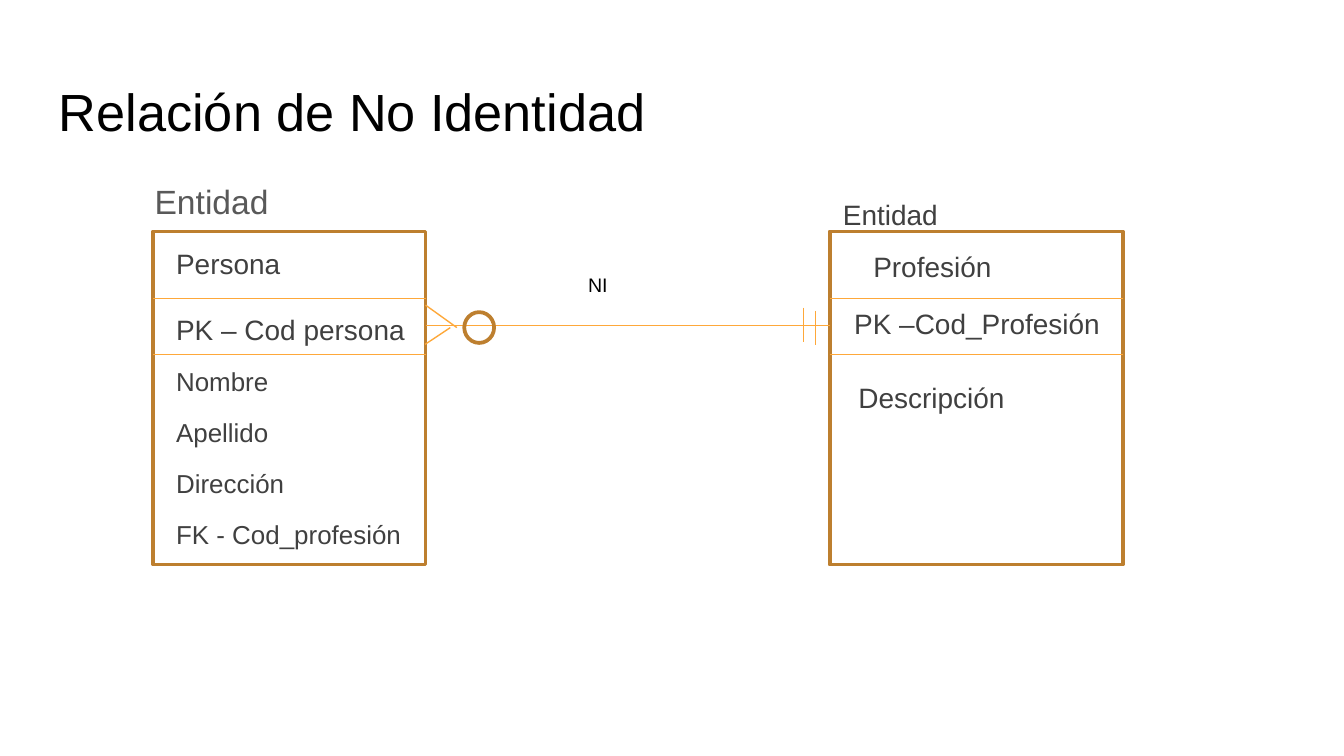
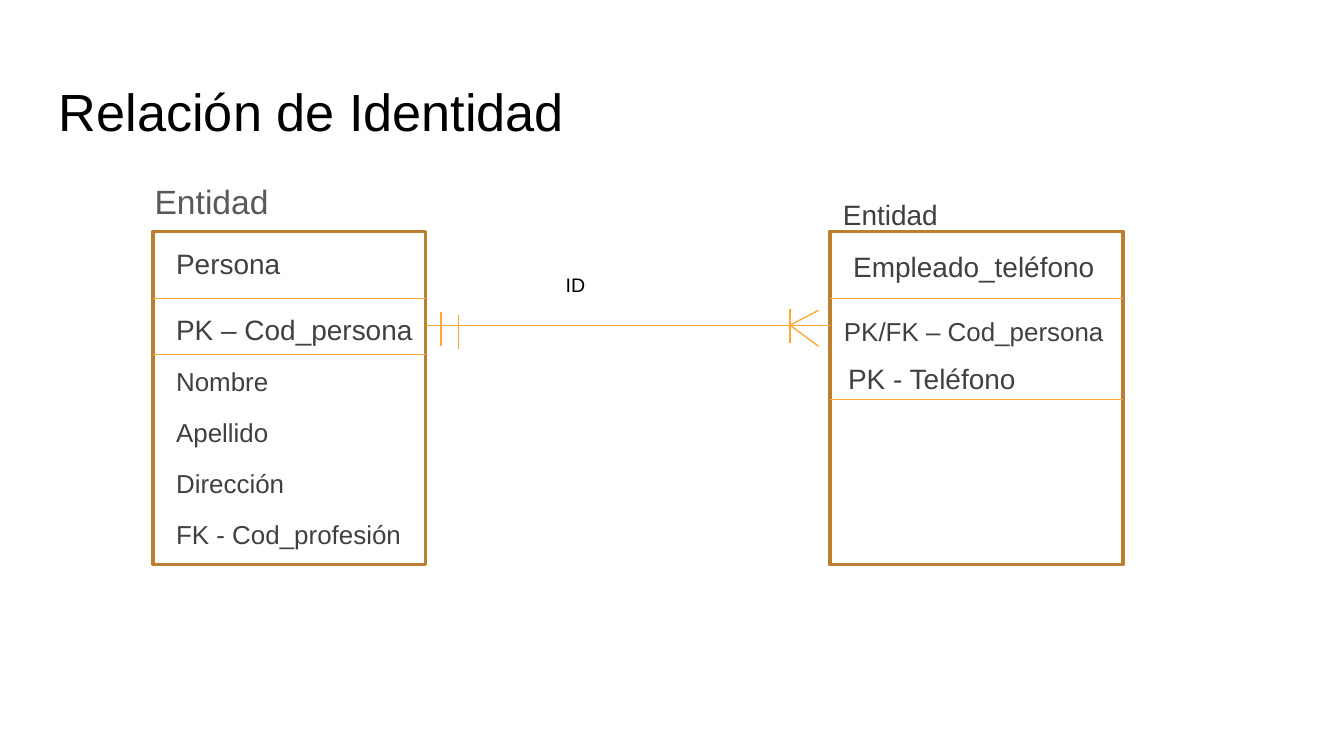
from dataclasses import dataclass
from lxml import etree
from pptx import Presentation
from pptx.dml import color
from pptx.enum import shapes, text
from pptx.oxml import ns
from pptx.util import Pt


@dataclass(frozen=True)
class Theme:
    font: str = "Arial"
    title: tuple = (28, "000000")
    heading: tuple = (18, "595959")
    entity: tuple = (15, "404040")
    attribute: tuple = (13.9, "404040")
    relation: tuple = (10.5, "000000")
    border: tuple = (2, "BD7F2F")
    stroke: tuple = (0.75, "FEA83A")


TOP, HEIGHT = 124, 178.5
LEFT, LEFT_WIDTH = 82, 146
RIGHT, RIGHT_WIDTH = 444.5, 157
NAME_Y, KEY_Y, RELATION_Y = 160, 190, 174.25
TEXT_WIDTH, TEXT_HEIGHT = 157, 24.5
ENTITY_INSETS = (7.2, 3, 0, 3)


class Diagram:
    def __init__(self, deck, theme):
        self.deck, self.theme, self.page = deck, theme, None

    def add_page(self):
        self.page = self.deck.slides.add_slide(self.deck.slide_layouts[6])

    def label(self, x, y, w, h, lines, style, insets, **spacing):
        size, ink = style
        frame = self.page.shapes.add_textbox(Pt(x), Pt(y), Pt(w), Pt(h)).text_frame
        frame.word_wrap = True
        frame.vertical_anchor = text.MSO_ANCHOR.TOP
        for side, inset in zip(("left", "top", "right", "bottom"), insets):
            setattr(frame, f"margin_{side}", Pt(inset))
        for index, line in enumerate(lines):
            para = frame.paragraphs[0] if index == 0 else frame.add_paragraph()
            for name, value in spacing.items():
                if index or name != "space_before":
                    setattr(para, name, value)
            span = para.add_run()
            span.text = line
            for name, value in {"name": self.theme.font, "size": Pt(size)}.items():
                setattr(span.font, name, value)
            span.font.color.rgb = color.RGBColor.from_string(ink)

    def entity_text(self, x, y, line):
        self.label(x, y, TEXT_WIDTH, TEXT_HEIGHT, [line], self.theme.entity,
                   ENTITY_INSETS, line_spacing=0.9)

    def attributes(self, x, y, h, lines, spacing=0.8):
        self.label(x, y, TEXT_WIDTH, h, lines, self.theme.attribute, ENTITY_INSETS,
                   line_spacing=spacing, space_before=Pt(12), space_after=Pt(2))

    def paint_line(self, shape, style):
        width, ink = style
        shape.line.width = Pt(width)
        shape.line.color.rgb = color.RGBColor.from_string(ink)

    def outline(self, kind, x, y, w, h):
        shape = self.page.shapes.add_shape(kind, Pt(x), Pt(y), Pt(w), Pt(h))
        shape.shadow.inherit = False
        shape.fill.background()
        self.paint_line(shape, self.theme.border)

    def stroke(self, x1, y1, x2, y2):
        line = self.page.shapes.add_connector(
            shapes.MSO_CONNECTOR.STRAIGHT, Pt(x1), Pt(y1), Pt(x2), Pt(y2))
        self.paint_line(line, self.theme.stroke)
        etree.SubElement(line._element.spPr, ns.qn("a:effectLst"))

    def bar(self, x, y):
        self.stroke(x, y, x, y + 18.25)

    def relation_page(self, title, key, right_key_y, relation, relation_x):
        self.add_page()
        self.label(24.5, 35.5, 671, 45.5, [title], self.theme.title, (7.2,) * 4)
        self.label(67, 86.5, 197, 31.5, ["Entidad"], self.theme.heading,
                   (15.84, 7.2, 7.2, 7.2), line_spacing=1.15)
        for x, width, key_y in ((LEFT, LEFT_WIDTH, KEY_Y),
                                (RIGHT, RIGHT_WIDTH, right_key_y)):
            self.outline(shapes.MSO_SHAPE.RECTANGLE, x, TOP, width, HEIGHT)
            for y in (NAME_Y, key_y):
                self.stroke(x, y, x + width, y)
        self.entity_text(RIGHT, 105, "Entidad")
        self.entity_text(87.25, 131, "Persona")
        self.entity_text(87.25, 166.25, key)
        self.attributes(87.25, 196, 106.5,
                        ["Nombre", "Apellido", "Dirección", "FK - Cod_profesión"])
        self.stroke(LEFT + LEFT_WIDTH, RELATION_Y, RIGHT, RELATION_Y)
        self.label(relation_x, 142.5, 80.5, 20, [relation], self.theme.relation,
                   (7.2, 3.6, 7.2, 3.6))


def non_identity(diagram):
    diagram.relation_page("Relación de No Identidad", "PK – Cod persona", KEY_Y, "NI", 308)
    diagram.entity_text(460.75, 133, "Profesión")
    diagram.entity_text(450.5, 163.5, "PK –Cod_Profesión")
    diagram.entity_text(452.75, 203, "Descripción")
    diagram.stroke(228, 163.5, 244.75, 175.5)
    diagram.stroke(241.25, 175.5, 227.75, 184.5)
    diagram.outline(shapes.MSO_SHAPE.OVAL, 248.75, 167.25, 16, 16.5)
    diagram.bar(430.5, 164.75)
    diagram.bar(436.75, 166.5)


def identity(diagram):
    diagram.relation_page("Relación de Identidad", "PK – Cod_persona", 214, "ID", 296)
    diagram.entity_text(450, 133, "Empleado_teléfono")
    diagram.attributes(445, 168, TEXT_HEIGHT, ["PK/FK – Cod_persona"], 0.9)
    diagram.entity_text(447.25, 192.5, "PK - Teléfono")
    for x, y in ((236.25, 167.25), (245.5, 168.5), (423.25, 165.5)):
        diagram.bar(x, y)
    for y in (185.5, 166.25):
        diagram.stroke(423.25, RELATION_Y, 438.5, y)


def main():
    deck = Presentation()
    deck.slide_width, deck.slide_height = Pt(720), Pt(405)
    diagram = Diagram(deck, Theme())
    non_identity(diagram)
    identity(diagram)
    deck.save("out.pptx")


if __name__ == "__main__":
    main()
